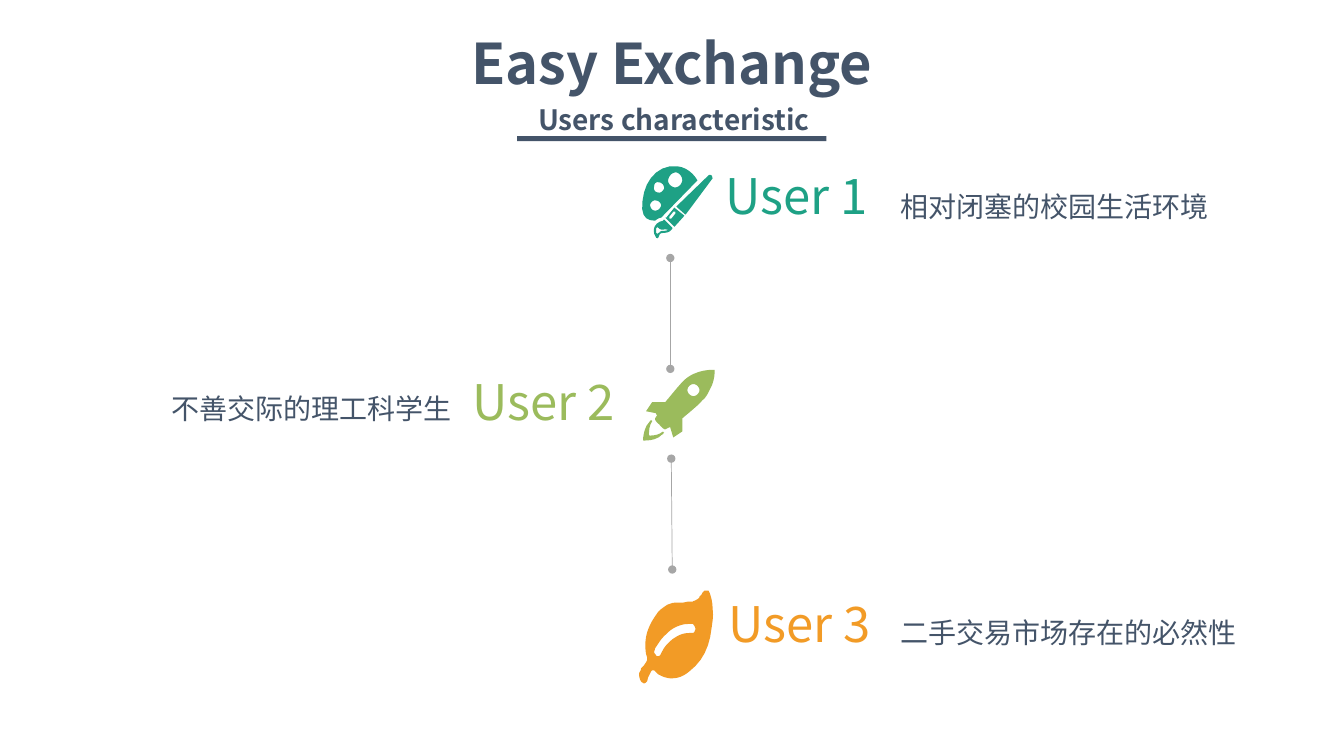
from lxml import etree
from pptx import Presentation
from pptx.dml.color import RGBColor
from pptx.enum import shapes, text
from pptx.oxml import ns
from pptx.util import Pt

SLATE = RGBColor(0x44, 0x54, 0x69)
TEAL = RGBColor(0x1E, 0xA1, 0x85)
GREEN = RGBColor(0x9B, 0xBB, 0x5C)
ORANGE = RGBColor(0xF2, 0x9B, 0x26)
GREY = RGBColor(0xA6, 0xA6, 0xA6)

HEADING_FONT = "Noto Sans CJK SC"
LEFT, CENTER, RIGHT = text.PP_ALIGN.LEFT, text.PP_ALIGN.CENTER, text.PP_ALIGN.RIGHT
TOP, MIDDLE = text.MSO_ANCHOR.TOP, text.MSO_ANCHOR.MIDDLE
CURVE_STEPS = 6

# Contours in hundredths of an inch: start point, then lines (2 numbers) or curves (6 numbers)
PALETTE = [
    "692 179, 688 172 681 166 672 165, 656 163 643 175 639 191, 634 212 639 219 650 219,"
    "651 218 654 216 656 216",
    "663 178, 664 174 667 171 671 171, 675 172 677 176 677 179, 676 184 673 186 669 186,"
    "665 185 662 181 663 178",
    "649 185, 649 182 651 180 654 181, 657 181 659 184 659 187, 658 189 656 192 653 191,"
    "650 191 648 188 649 185",
    "650 209, 647 209 645 206 645 203, 646 200 649 198 651 199, 654 199 656 202 656 204,"
    "655 207 653 209 650 209",
]
BRUSH_HANDLE = [
    "680 213, 681 212, 707 177, 707 177 707 176 706 174, 704 173 703 174 703 174,"
    "672 204, 671 205",
]
BRUSH_COLLAR = [
    "669 225, 670 224, 679 214, 669 206, 661 216, 660 216",
    "664 215, 668 210, 669 210 669 210 670 210, 670 212, 666 217,"
    "666 217 665 217 665 217, 664 217, 664 216",
]
BRUSH_TIP = [
    "667 227, 667 226, 659 218, 659 218 658 218 658 219, 651 220 645 227 651 236,"
    "652 236 652 237 653 236, 654 234 654 233 655 232, 657 230 663 233 667 227",
    "659 229, 657 229 655 229 654 231, 653 231, 653 232 652 232 652 232, 651 231,"
    "651 230 651 228 651 227, 651 226 652 226 652 225, 654 227 655 228 658 228,"
    "660 227 661 228 663 228, 661 229 660 229 659 229",
]
ROCKET = [
    "709 367, 709 367 699 366 688 371, 684 373 681 375 678 378, 673 383 666 392 660 399,"
    "647 399, 641 408, 651 410, 651 411 651 411 652 412, 650 415, 650 415 649 417 654 421,"
    "658 426 660 426 660 426, 664 424, 665 424, 668 434, 677 428, 677 415,"
    "684 409 693 402 697 397, 700 395 702 391 704 387, 710 377 709 367 709 367",
    "688 393, 685 393 682 390 682 387, 682 384 685 381 688 381, 691 381 694 384 694 387,"
    "694 390 691 393 688 393",
    "658 428, 658 429 658 429 659 429, 658 430 658 431 657 431, 651 438 638 437 638 437,"
    "638 437 638 425 644 419, 645 418 645 417 646 417, 647 417 647 417 647 418,"
    "643 424 644 432 644 432, 644 432 652 433 658 428",
]
LEAF = [
    "704 588, 706 593 707 599 707 604, 708 610 707 616 706 623, 704 642 697 656 684 666,"
    "678 671 673 673 666 673, 663 673 659 672 655 670, 653 669, 651 667, 649 665, 647 665,"
    "646 666, 645 668, 643 672, 642 676, 641 677 640 678 639 678, 637 677, 636 676, 635 674,"
    "634 671 634 670 634 668, 635 666 636 665 636 663, 639 660, 641 657, 642 655, 642 652,"
    "641 649, 640 643 640 637 641 632, 642 626 644 622 646 618, 648 614 651 610 653 607,"
    "656 604 659 602 662 600, 665 599 667 598 669 598, 677 598, 682 597, 687 597,"
    "688 596 690 596 691 595, 693 594 694 593 694 592, 696 590, 697 588, 699 586, 703 586",
    "686 628, 687 628 688 628 689 627, 689 626 690 625 690 624, 690 623 689 621 689 621,"
    "688 620 688 619 687 619, 683 619 679 619 676 620, 673 621 670 622 667 624,"
    "664 626 661 629 658 632, 655 635 653 639 650 643, 650 644 649 646 649 647,"
    "649 648 650 649 651 650, 651 651 652 651 652 651, 653 651 654 651 655 650,"
    "657 646 659 642 662 639, 664 637 667 634 669 633, 672 631 674 630 677 629,"
    "680 628 683 628 686 628",
]


def set_values(target, values):
    for name, value in values.items():
        setattr(target, name, value)


def add_label(slide, wording, box, color, size, align=LEFT, font=HEADING_FONT,
              bold=False, anchor=TOP, spacing=1.0, inset=(7.2, 3.6)):
    shape = slide.shapes.add_textbox(*map(Pt, box))
    frame = shape.text_frame
    across, down = map(Pt, inset)
    set_values(frame, {"word_wrap": True, "vertical_anchor": anchor,
                       "margin_left": across, "margin_right": across,
                       "margin_top": down, "margin_bottom": down})
    paragraph = frame.paragraphs[0]
    set_values(paragraph, {"alignment": align, "line_spacing": spacing})
    run = paragraph.add_run()
    run.text = wording
    set_values(run.font, {"name": font, "size": Pt(size), "bold": bold})
    run.font.color.rgb = color
    return shape


def add_user(slide, wording, left, top, color, align=LEFT):
    add_label(slide, wording, (left, top, 302.4, 46.1), color, 35, align, anchor=MIDDLE)


def add_detail(slide, wording, box, align=LEFT):
    add_label(slide, wording, box, SLATE, 20, align, font="Arial", spacing=1.5)


def paint(shape, color):
    shape.shadow.inherit = False
    shape.fill.solid()
    shape.fill.fore_color.rgb = color
    shape.line.fill.background()


def trace(contour):
    segments = [[float(n) * 72 for n in part.split()] for part in contour.split(",")]
    points = [tuple(segments[0])]
    for segment in segments[1:]:
        if len(segment) == 2:
            points.append(tuple(segment))
            continue
        controls = [points[-1], *zip(segment[::2], segment[1::2])]
        for step in range(1, CURVE_STEPS + 1):
            t = step / CURVE_STEPS
            weights = ((1 - t) ** 3, 3 * t * (1 - t) ** 2, 3 * t * t * (1 - t), t ** 3)
            points.append(tuple(sum(w * c[axis] for w, c in zip(weights, controls))
                                for axis in (0, 1)))
    return points


def add_icon(slide, contours, color):
    outlines = [trace(contour) for contour in contours]
    builder = slide.shapes.build_freeform(*outlines[0][0], scale=Pt(0.01))
    for index, points in enumerate(outlines):
        if index:
            builder.move_to(*points[0])
        builder.add_line_segments(points[1:], close=True)
    paint(builder.convert_to_shape(), color)


def add_link(slide, start, end):
    connector = slide.shapes.add_connector(
        shapes.MSO_CONNECTOR.STRAIGHT, *map(Pt, start + end))
    connector.line.width = Pt(0.5)
    connector.line.color.rgb = GREY
    properties = connector._element.spPr
    line = properties.find(ns.qn("a:ln"))
    for tag in ("a:headEnd", "a:tailEnd"):
        etree.SubElement(line, ns.qn(tag), type="oval")
    etree.SubElement(properties, ns.qn("a:effectLst"))


def add_heading(slide):
    title = add_label(slide, "Easy Exchange", (67.7, 18.7, 824.4, 51.8), SLATE, 40,
                      CENTER, bold=True, inset=(3.6, 1.44))
    title.text_frame.auto_size = text.MSO_AUTO_SIZE.SHAPE_TO_FIT_TEXT
    underline = slide.shapes.add_shape(
        shapes.MSO_SHAPE.RECTANGLE, *map(Pt, (369.4, 97.2, 221, 3.6)))
    paint(underline, SLATE)
    add_label(slide, "Users characteristic", (92.9, 64.1, 776.9, 33.1), SLATE, 20,
              CENTER, bold=True, spacing=1.2, inset=(8.64, 4.32))


def main():
    presentation = Presentation()
    set_values(presentation, {"slide_width": Pt(960), "slide_height": Pt(540)})
    slide = presentation.slides.add_slide(presentation.slide_layouts[6])

    add_detail(slide, "相对闭塞的校园生活环境", (635.8, 119.5, 339.1, 77))
    add_user(slide, "User 1", 511.2, 115.9, TEAL)
    add_detail(slide, "不善交际的理工科学生", (27.4, 264.2, 302.4, 90.7), RIGHT)
    add_user(slide, "User 2", 144, 263.5, GREEN, RIGHT)
    for contours in (PALETTE, BRUSH_HANDLE, BRUSH_COLLAR, BRUSH_TIP):
        add_icon(slide, contours, TEAL)
    add_link(slide, (478.8, 184.3), (478.8, 263.5))
    add_icon(slide, ROCKET, GREEN)
    add_heading(slide)
    add_icon(slide, LEAF, ORANGE)
    add_link(slide, (479.5, 327.6), (480.2, 406.8))
    add_user(slide, "User 3", 513.4, 421.9, ORANGE)
    add_detail(slide, "二手交易市场存在的必然性", (635.8, 424.1, 339.1, 77))
    presentation.save("out.pptx")


if __name__ == "__main__":
    main()
